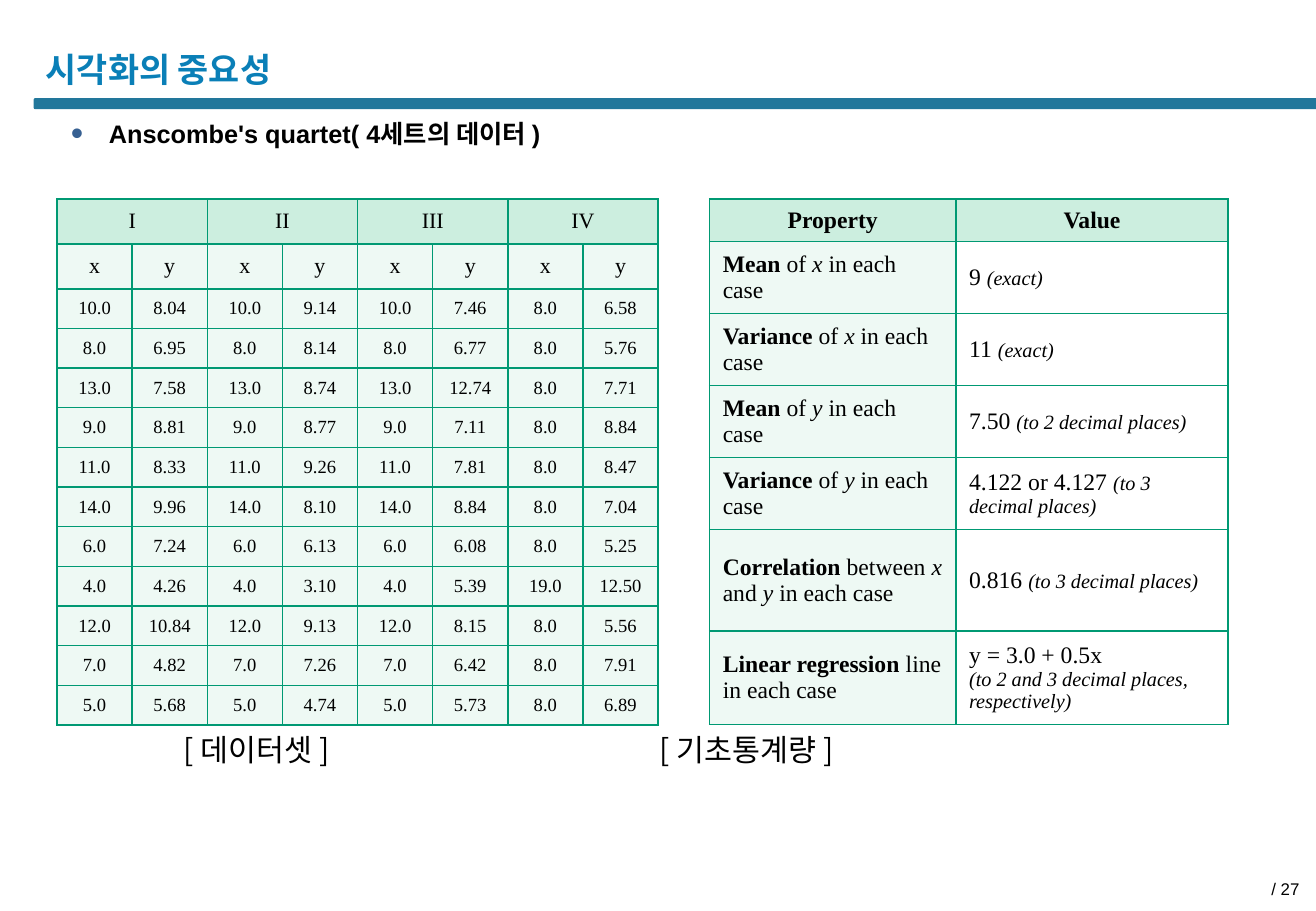
from lxml import etree
from pptx import Presentation
from pptx.dml.color import RGBColor
from pptx.enum.shapes import MSO_SHAPE
from pptx.enum.text import MSO_ANCHOR, MSO_AUTO_SIZE, PP_ALIGN
from pptx.oxml import parse_xml
from pptx.oxml.ns import qn
from pptx.util import Pt

MIDDLE = MSO_ANCHOR.MIDDLE
NO_FIT = MSO_AUTO_SIZE.NONE
LEFT, CENTER, RIGHT = PP_ALIGN.LEFT, PP_ALIGN.CENTER, PP_ALIGN.RIGHT
ROUND_RECT = MSO_SHAPE.ROUNDED_RECTANGLE

BLACK = RGBColor(0x00, 0x00, 0x00)
TITLE_BLUE = RGBColor(0x0A, 0x7F, 0xB7)
BAR_BLUE = RGBColor(0x22, 0x77, 0x9B)
BULLET_BLUE = RGBColor(0x37, 0x60, 0x92)
BORDER_GREEN = RGBColor(0x00, 0x99, 0x73)
HEAD_GREEN = RGBColor(0xCC, 0xEE, 0xDF)
CELL_GREEN = RGBColor(0xEE, 0xF9, 0xF4)

SANS, SERIF, KOREAN = "Arial", "Times New Roman", "Noto Sans CJK KR"
A = "http://schemas.openxmlformats.org/drawingml/2006/main"


def add_run(p, text, size, font, color=BLACK, bold=False, italic=False):
    r = p.add_run()
    r.text = text
    r.font.size = Pt(size)
    r.font.name = font
    r.font.color.rgb = color
    r.font.bold = bold
    r.font.italic = italic
    etree.SubElement(r._r.get_or_add_rPr(), qn("a:ea"), typeface=KOREAN)


def add_grid(left, widths, heights, margin_x, margin_y):
    """Add a green-ruled table with a tinted header row."""
    frame = s.shapes.add_table(len(heights), len(widths), Pt(left), Pt(118),
                               Pt(sum(widths)), Pt(sum(heights)))
    table = frame.table
    table.horz_banding = table.first_row = False
    for column, width in zip(table.columns, widths):
        column.width = Pt(width)
    for i, (row, height) in enumerate(zip(table.rows, heights)):
        row.height = Pt(height)
        for cell in row.cells:
            cell.margin_left = cell.margin_right = Pt(margin_x)
            cell.margin_top = cell.margin_bottom = Pt(margin_y)
            cell.vertical_anchor = MIDDLE
            for side in ("L", "R", "T", "B"):
                cell._tc.get_or_add_tcPr().append(parse_xml(
                    f'<a:ln{side} xmlns:a="{A}" w="{Pt(1)}"><a:solidFill>'
                    f'<a:srgbClr val="{BORDER_GREEN}"/></a:solidFill></a:ln{side}>'))
            cell.fill.solid()
            cell.fill.fore_color.rgb = CELL_GREEN if i else HEAD_GREEN
    return table


prs = Presentation()
prs.slide_width, prs.slide_height = Pt(780), Pt(540)
s = prs.slides.add_slide(prs.slide_layouts[1])

# Heading
bar = s.shapes.add_shape(ROUND_RECT, Pt(20), Pt(58.2), Pt(762), Pt(6.5))
bar.adjustments[0] = 0.13
bar.shadow.inherit = False
bar.fill.solid()
bar.fill.fore_color.rgb = BAR_BLUE
bar.line.fill.background()

title = s.shapes.title
title.left, title.top, title.width, title.height = Pt(20), Pt(24), Pt(405), Pt(34)
tf = title.text_frame
tf.auto_size = NO_FIT
tf.vertical_anchor = MIDDLE
p = tf.paragraphs[0]
p.alignment = LEFT
add_run(p, "시각화의 중요성", 20, KOREAN, TITLE_BLUE, bold=True)

body = s.placeholders[1]
body.left, body.top, body.width, body.height = Pt(42), Pt(70), Pt(513), Pt(18)
tf = body.text_frame
tf.auto_size = NO_FIT
tf.vertical_anchor = MIDDLE
tf.margin_left = tf.margin_right = tf.margin_top = tf.margin_bottom = 0
p = tf.paragraphs[0]
pPr = p._p.get_or_add_pPr()
pPr.set("marL", str(Pt(22.5)))
pPr.set("indent", str(Pt(-22.5)))
bullet_color = etree.SubElement(pPr, qn("a:buClr"))
etree.SubElement(bullet_color, qn("a:srgbClr"), val=str(BULLET_BLUE))
etree.SubElement(pPr, qn("a:buSzPct"), val="140000")
etree.SubElement(pPr, qn("a:buFont"), typeface=SANS)
etree.SubElement(pPr, qn("a:buChar"), char="•")
p.space_before = Pt(0)
add_run(p, "Anscombe's quartet( 4세트의 데이터 )", 15, SANS, bold=True)

# Data set
sets = ["I", "II", "III", "IV"]
shared_x = ["10.0", "8.0", "13.0", "9.0", "11.0", "14.0", "6.0", "4.0", "12.0", "7.0", "5.0"]
fourth_x = ["8.0"] * 7 + ["19.0"] + ["8.0"] * 3
y1 = ["8.04", "6.95", "7.58", "8.81", "8.33", "9.96", "7.24", "4.26", "10.84", "4.82", "5.68"]
y2 = ["9.14", "8.14", "8.74", "8.77", "9.26", "8.10", "6.13", "3.10", "9.13", "7.26", "4.74"]
y3 = ["7.46", "6.77", "12.74", "7.11", "7.81", "8.84", "6.08", "5.39", "8.15", "6.42", "5.73"]
y4 = ["6.58", "5.76", "7.71", "8.84", "8.47", "7.04", "5.25", "12.50", "5.56", "7.91", "6.89"]

data = add_grid(33.8, [44.55] * 8, [26.6] * 2 + [23.5] * 11, 5.8, 2.9)
for i, name in enumerate(sets):
    head = data.cell(0, 2 * i)
    head.merge(data.cell(0, 2 * i + 1))
    p = head.text_frame.paragraphs[0]
    p.alignment = CENTER
    add_run(p, name, 13, SERIF)
columns = [shared_x, y1, shared_x, y2, shared_x, y3, fourth_x, y4]
for c, values in enumerate(columns):
    for i, text in enumerate(["xy"[c % 2]] + values):
        p = data.cell(i + 1, c).text_frame.paragraphs[0]
        p.alignment = CENTER
        add_run(p, text, 11 if i else 13, SERIF)

# Basic statistics: bold lead, then plain text with x and y in italics; value, then note
statistics = [
    ("Mean", [" of ", "x", " in each case"], "9 ", "(exact)"),
    ("Variance", [" of ", "x", " in each case"], "11 ", "(exact)"),
    ("Mean", [" of ", "y", " in each case"], "7.50 ", "(to 2 decimal places)"),
    ("Variance", [" of ", "y", " in each case"], "4.122 or 4.127 ", "(to 3 decimal places)"),
    ("Correlation", [" between ", "x", " and ", "y", " in each case"],
     "0.816 ", "(to 3 decimal places)"),
    ("Linear regression ", ["line in each case"],
     "y = 3.0 + 0.5x", "(to 2 and 3 decimal places, respectively)"),
]
stats = add_grid(420.6, [146, 161.4], [25.2] + [42.7] * 4 + [60.1, 55.4], 7.8, 3.9)
for c, text in enumerate(["Property", "Value"]):
    p = stats.cell(0, c).text_frame.paragraphs[0]
    p.alignment = CENTER
    add_run(p, text, 14, SERIF, bold=True)
for i, (lead, rest, value, note) in enumerate(statistics, start=1):
    p = stats.cell(i, 0).text_frame.paragraphs[0]
    add_run(p, lead, 14, SERIF, bold=True)
    for text in rest:
        add_run(p, text, 14, SERIF, italic=text in ("x", "y"))
    cell = stats.cell(i, 1)
    cell.fill.background()
    p = cell.text_frame.paragraphs[0]
    add_run(p, value, 14, SERIF)
    if not value.endswith(" "):
        p = cell.text_frame.add_paragraph()
    add_run(p, note, 12, SERIF, italic=True)

# Captions and page count
tf = s.shapes.add_textbox(Pt(33.8), Pt(430), Pt(694), Pt(29)).text_frame
tf.word_wrap = True
p = tf.paragraphs[0]
tabs = etree.SubElement(p._p.get_or_add_pPr(), qn("a:tabLst"))
for stop in (68, 350):
    etree.SubElement(tabs, qn("a:tab"), pos=str(Pt(stop)), algn="l")
for caption in ("데이터셋", "기초통계량"):
    add_run(p, f"\t[ {caption} ]", 18, KOREAN)

tf = s.shapes.add_textbox(Pt(598), Pt(517.5), Pt(182), Pt(16.5)).text_frame
tf.word_wrap = True
p = tf.paragraphs[0]
p.alignment = RIGHT
add_run(p, "/ 27 ", 10, SANS)

prs.save("out.pptx")
